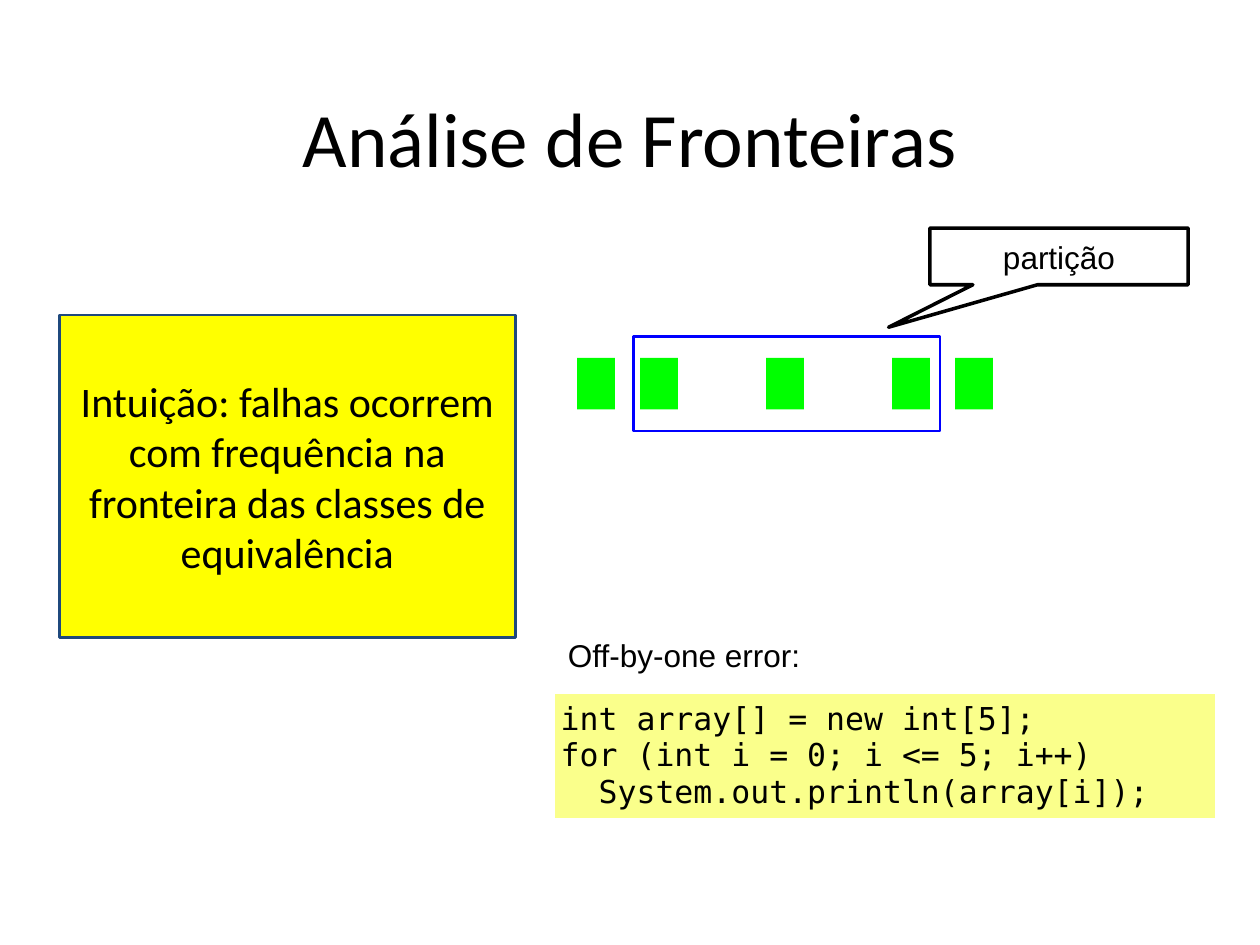
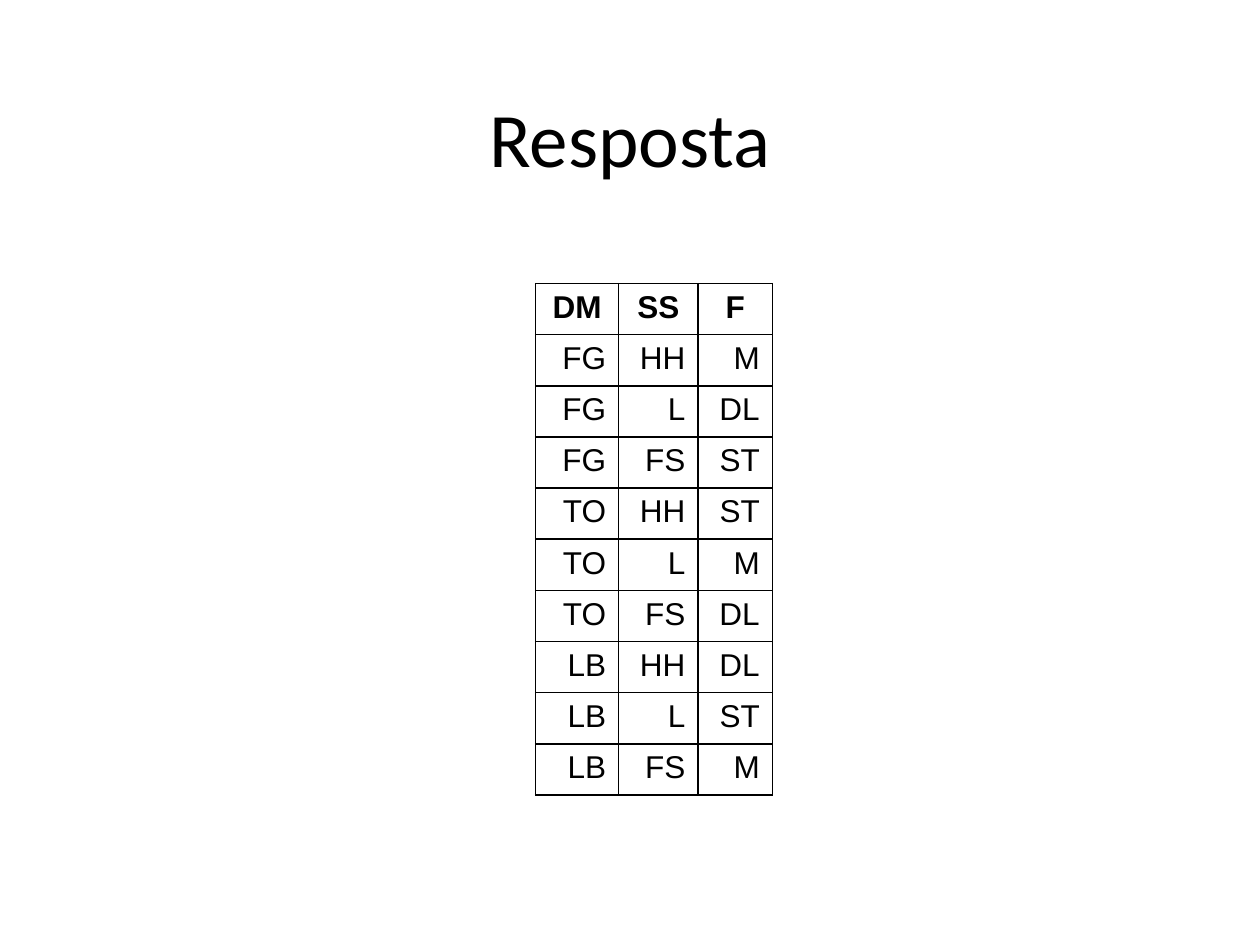
import pptx
import pptx.dml.color
import pptx.enum.shapes
import pptx.enum.text
import pptx.util
from lxml import etree

COLORS = {
    "black": "000000",
    "white": "FFFFFF",
    "partition": "0000FF",
    "sample": "00FF00",
    "intuition": "FFFF00",
    "intuition_edge": "1F497D",
    "code": "FAFF8B",
}
COLUMNS, ROWS = 100, 75
CELL = pptx.util.Inches(0.1)
HEADING_FONT, BODY_FONT, CODE_FONT = "Calibri", "Arial", "DejaVu Sans Mono"

ALIGN = pptx.enum.text.PP_ALIGN
ANCHOR = pptx.enum.text.MSO_ANCHOR
SHAPE = pptx.enum.shapes.MSO_SHAPE


def grid(*cells):
    """Turn counts of grid cells into lengths."""
    return [round(count * CELL) for count in cells]


def rgb(name):
    return pptx.dml.color.RGBColor.from_string(COLORS[name])


def write(frame, text, font, size, align=ALIGN.LEFT, bold=False):
    frame.text = text
    for para in frame.paragraphs:
        para.alignment = align
        for span in para.runs:
            span.font.name = font
            span.font.size = pptx.util.Pt(size)
            span.font.bold = bold
            span.font.color.rgb = rgb("black")


def set_margins(target, cells):
    """Set the four insets of a text frame or table cell."""
    inset = grid(cells)[0]
    target.margin_left = target.margin_right = inset
    target.margin_top = target.margin_bottom = inset


def add_page(deck, title):
    page = deck.slides.add_slide(deck.slide_layouts[6])
    box = page.shapes.add_textbox(*grid(5, 3, COLUMNS - 10, 12.5))
    frame = box.text_frame
    frame.word_wrap = True
    frame.vertical_anchor = ANCHOR.BOTTOM
    set_margins(frame, 1)
    write(frame, title, HEADING_FONT, 44, ALIGN.CENTER)
    return page


def add_block(shapes, place, fill=None, line=None, width=1.5, kind=SHAPE.RECTANGLE):
    block = shapes.add_shape(kind, *grid(*place))
    block.shadow.inherit = False
    if fill:
        block.fill.solid()
        block.fill.fore_color.rgb = rgb(fill)
    else:
        block.fill.background()
    if line:
        block.line.color.rgb = rgb(line)
        block.line.width = pptx.util.Pt(width)
    else:
        block.line.fill.background()
    return block


def add_plain_table(page, place, row_count, column_count):
    table = page.shapes.add_table(row_count, column_count, *grid(*place)).table
    table.first_row = table.horz_banding = False
    return table


def add_borders(cell):
    properties = cell._tc.get_or_add_tcPr()
    namespace = "{http://schemas.openxmlformats.org/drawingml/2006/main}"
    for index, side in enumerate(("lnL", "lnR", "lnT", "lnB")):
        border = etree.Element(namespace + side, w=str(pptx.util.Pt(1)))
        fill = etree.SubElement(border, namespace + "solidFill")
        etree.SubElement(fill, namespace + "srgbClr", val=COLORS["black"])
        properties.insert(index, border)


def add_partition(page):
    """Draw the partition with samples at its middle and on both sides of each edge."""
    middle, top = 62.4, 26.7
    group = page.shapes.add_group_shape()
    add_block(group.shapes, (middle - 12.1, top, 24.3, 7.5), line="partition")
    for offset in (-15, -10, 0, 10, 15):
        add_block(group.shapes, (middle + offset - 1.6, top + 1.7, 3, 4.1), fill="sample")


def add_intuition(page, text):
    block = add_block(page.shapes, (4.7, 25, 36.2, 25.6), "intuition", "intuition_edge")
    set_margins(block.text_frame, 1)
    block.text_frame.vertical_anchor = ANCHOR.MIDDLE
    write(block.text_frame, text, HEADING_FONT, 24, ALIGN.CENTER)


def add_callout(page, text):
    callout = add_block(page.shapes, (73.8, 18.1, 20.5, 4.5), "white", "black", 2,
                        SHAPE.RECTANGULAR_CALLOUT)
    callout.adjustments[0], callout.adjustments[1] = -0.66, 1.25
    callout.text_frame.vertical_anchor = ANCHOR.MIDDLE
    write(callout.text_frame, text, BODY_FONT, 18, ALIGN.CENTER)


def add_code(page, label, code):
    cell = add_plain_table(page, (44, 55, 52.5, 9.8), 1, 1).cell(0, 0)
    cell.fill.solid()
    cell.fill.fore_color.rgb = rgb("code")
    cell.vertical_anchor = ANCHOR.MIDDLE
    set_margins(cell, 0.5)
    write(cell.text_frame, code, CODE_FONT, 18)

    box = page.shapes.add_textbox(*grid(44.1, 50, 20.6, 4))
    box.text_frame.word_wrap = False
    box.text_frame.auto_size = pptx.enum.text.MSO_AUTO_SIZE.SHAPE_TO_FIT_TEXT
    write(box.text_frame, label, BODY_FONT, 18)


def add_answers(page, header, rows):
    widths = (6.6, 6.3, 5.9)
    records = [header, *rows]
    table = add_plain_table(page, (42.5, 22.5, sum(widths), 40.6), len(records), len(header))
    for column, width in zip(table.columns, grid(*widths)):
        column.width = width
    for row, record in enumerate(records):
        align = ALIGN.RIGHT if row else ALIGN.CENTER
        for column, value in enumerate(record):
            cell = table.cell(row, column)
            cell.fill.background()
            add_borders(cell)
            write(cell.text_frame, value, BODY_FONT, 18, align, bold=row == 0)


def pairwise_rows(first, second, third):
    """Cover every pair of values by shifting the third factor once per block."""
    return [
        (a, b, third[(j - i) % len(third)])
        for i, a in enumerate(first)
        for j, b in enumerate(second)
    ]


def main():
    deck = pptx.Presentation()
    deck.slide_width, deck.slide_height = grid(COLUMNS, ROWS)

    page = add_page(deck, "Análise de Fronteiras")
    add_partition(page)
    add_intuition(page, "Intuição: falhas ocorrem com frequência na fronteira "
                        "das classes de equivalência")
    add_code(page, "Off-by-one error:",
             "int array[] = new int[5];\n"
             "for (int i = 0; i <= 5; i++)\v"
             "  System.out.println(array[i]);")
    add_callout(page, "partição")

    page = add_page(deck, "Resposta")
    rows = pairwise_rows(("FG", "TO", "LB"), ("HH", "L", "FS"), ("M", "DL", "ST"))
    add_answers(page, ("DM", "SS", "F"), rows)

    deck.save("out.pptx")


if __name__ == "__main__":
    main()
